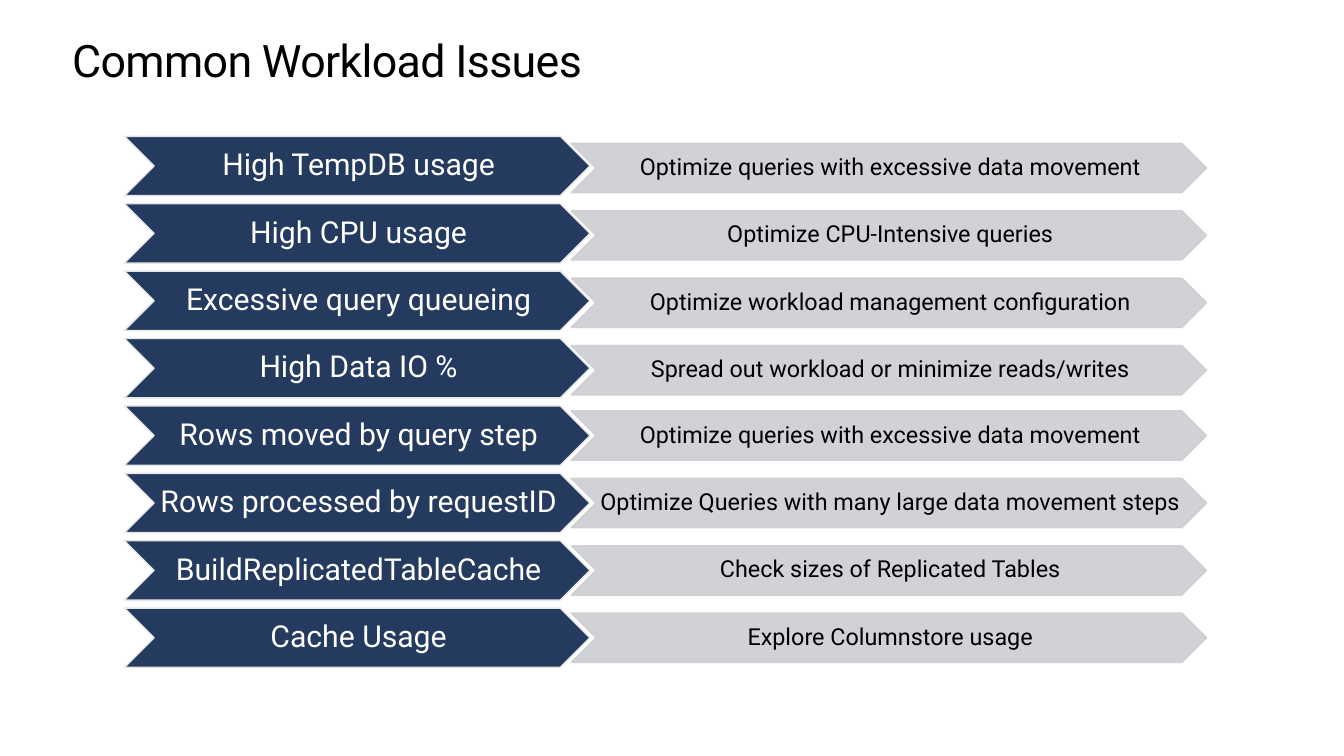
import pptx
import pptx.util
import pptx.dml.color
import pptx.enum.shapes
import pptx.enum.text
import pptx.oxml.ns
import lxml.etree

RGBColor = pptx.dml.color.RGBColor
NAVY = RGBColor(0x24, 0x3A, 0x5E)
EDGE = RGBColor(0xE6, 0xE6, 0xE6)
GREY = RGBColor(0xCD, 0xCE, 0xD2)
BLACK = RGBColor(0, 0, 0)
WHITE = RGBColor(255, 255, 255)

Pt = pptx.util.Pt
CELL = pptx.util.Inches(0.1)
COLS, ROWS = 136, 76.5
TOP, STEP = 13.8, 6.82

PAIRS = [
    ("High TempDB usage", "Optimize queries with excessive data movement"),
    ("High CPU usage", "Optimize CPU-Intensive queries"),
    ("Excessive query queueing", "Optimize workload management configuration"),
    ("High Data IO %", "Spread out workload or minimize reads/writes"),
    ("Rows moved by query step", "Optimize queries with excessive data movement"),
    ("Rows processed by requestID", "Optimize Queries with many large data movement steps"),
    ("BuildReplicatedTableCache", "Check sizes of Replicated Tables"),
    ("Cache Usage", "Explore Columnstore usage"),
]


def write(para, text, size, color):
    run = para.add_run()
    run.text = text
    run.font.name = "Roboto"
    run.font.size = Pt(size)
    run.font.color.rgb = color
    return run


def chevron(slide, text, left, top, width, height, fill, edge, size, color, alpha):
    shape = slide.shapes.add_shape(
        pptx.enum.shapes.MSO_SHAPE.CHEVRON,
        *(round(cells * CELL) for cells in (left, top, width, height)))
    shape.shadow.inherit = False
    shape.fill.solid()
    shape.fill.fore_color.rgb = fill
    shape.line.color.rgb = edge
    shape.line.width = Pt(1)
    if alpha < 100:
        for tint in shape.element.spPr.iter(pptx.oxml.ns.qn("a:srgbClr")):
            node = lxml.etree.SubElement(tint, pptx.oxml.ns.qn("a:alpha"))
            node.set("val", str(alpha * 1000))
    frame = shape.text_frame
    frame.word_wrap = False
    frame.vertical_anchor = pptx.enum.text.MSO_ANCHOR.MIDDLE
    frame.margin_left = Pt(2)
    frame.margin_right = 0
    frame.margin_top = frame.margin_bottom = Pt(1)
    para = frame.paragraphs[0]
    para.alignment = pptx.enum.text.PP_ALIGN.CENTER
    para.line_spacing = 0.9
    write(para, text, size, color)


deck = pptx.Presentation()
deck.slide_width = round(COLS * CELL)
deck.slide_height = round(ROWS * CELL)
slide = deck.slides.add_slide(deck.slide_layouts[5])

title = slide.shapes.title
title.left, title.top, title.width, title.height = (
    round(cells * CELL) for cells in (7.3, 3.6, 121.4, 5.1))
title.fill.solid()
title.fill.fore_color.rgb = WHITE
frame = title.text_frame
frame.margin_left = frame.margin_right = frame.margin_top = frame.margin_bottom = 0
frame.word_wrap = True
frame.auto_size = pptx.enum.text.MSO_AUTO_SIZE.SHAPE_TO_FIT_TEXT
frame.vertical_anchor = pptx.enum.text.MSO_ANCHOR.TOP
para = frame.paragraphs[0]
para.alignment = pptx.enum.text.PP_ALIGN.LEFT
para.line_spacing = Pt(36.9)
run = write(para, "Common Workload Issues", 32.6, BLACK)
run.font._element.set("spc", "-50")

for row, (issue, remedy) in enumerate(PAIRS):
    top = TOP + row * STEP
    drop = 0.7 if row < 4 else 0.5
    chevron(slide, issue, 12.6, top, 47.1, 6, NAVY, EDGE, 22, WHITE, 100)
    chevron(slide, remedy, 57.8, top + drop, 64.3, 5, GREY, GREY, 17, BLACK, 90)

deck.save("out.pptx")
